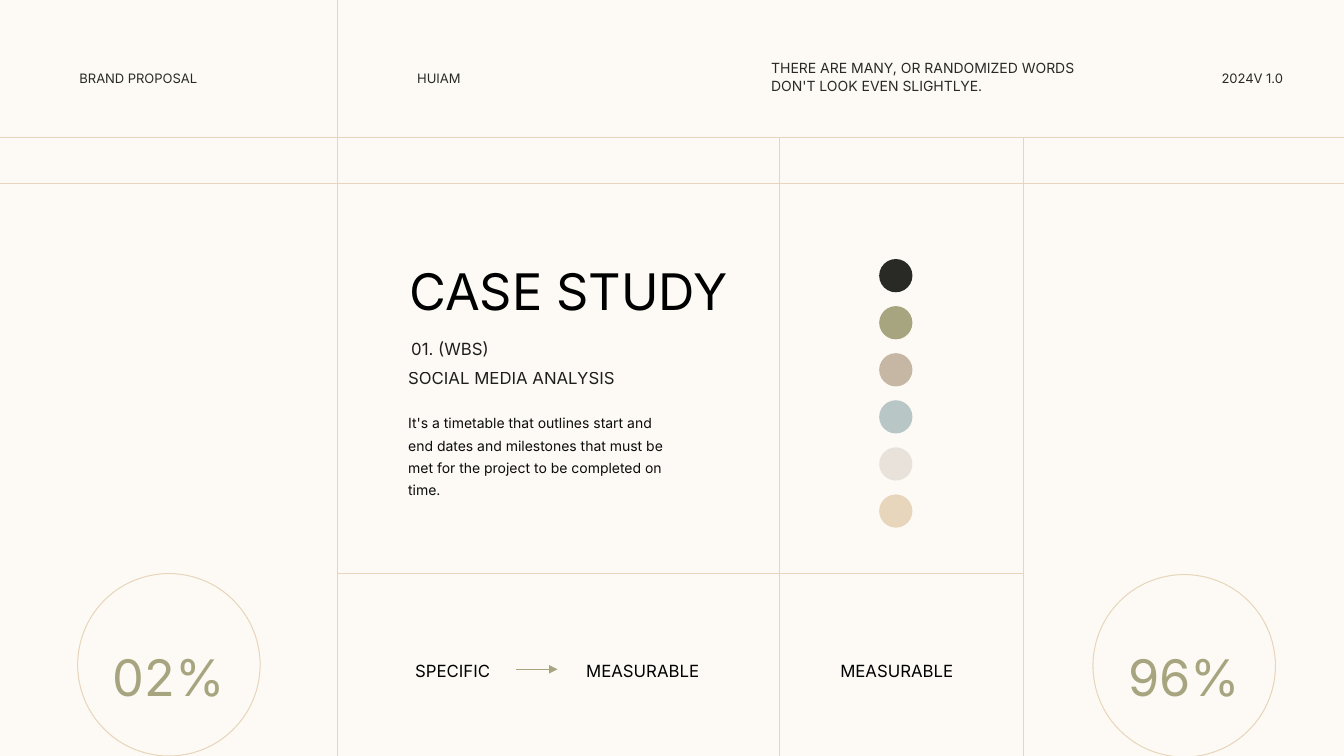
from lxml.etree import SubElement
from pptx import Presentation
from pptx.dml.color import RGBColor
from pptx.enum.shapes import MSO_CONNECTOR, MSO_SHAPE
from pptx.enum.text import MSO_ANCHOR, MSO_AUTO_SIZE, PP_ALIGN
from pptx.oxml.ns import qn
from pptx.util import Inches, Pt

HUES = {
    "cream": "FDFAF5", "ink": "292A25", "olive": "A7A57F", "taupe": "C6B7A4",
    "mist": "B8C6C6", "pearl": "E8E2DB", "sand": "E7D6BC",
    "black": "000000", "body": "0D0D0D",
}
FONT = "Inter"
LEFT, MID, RIGHT = PP_ALIGN.LEFT, PP_ALIGN.CENTER, PP_ALIGN.RIGHT


def hue(name):
    return RGBColor.from_string(HUES[name])


def write(box, text, size, tone, align=LEFT, lead=None, lift=False, alpha=None):
    frame = box.text_frame
    frame.word_wrap = True
    frame.auto_size = MSO_AUTO_SIZE.SHAPE_TO_FIT_TEXT
    frame.vertical_anchor = MSO_ANCHOR.TOP
    para = frame.paragraphs[0]
    para.alignment = align
    if lead:
        para.line_spacing = Pt(lead)
    run = para.add_run()
    run.text = text
    font = run.font
    font.name, font.size = FONT, Pt(size)
    font.color.rgb = hue(tone)
    props = run._r.get_or_add_rPr()
    if lift:
        props.set("baseline", "30000")
    if alpha:
        shade = props.find(".//" + qn("a:srgbClr"))
        SubElement(shade, qn("a:alpha")).set("val", str(alpha * 1000))


def label(slide, at, text, size, tone, **style):
    box = slide.shapes.add_textbox(*map(Inches, at))
    write(box, text, size, tone, **style)


def title(slide, at, text, size, tone, **style):
    box = slide.shapes.title
    box.left, box.top, box.width, box.height = map(Inches, at)
    write(box, text, size, tone, **style)


def rule(slide, x1, y1, x2, y2, tone="sand", arrow=False):
    line = slide.shapes.add_connector(
        MSO_CONNECTOR.STRAIGHT, *map(Inches, (x1, y1, x2, y2)))
    line.line.color.rgb = hue(tone)
    line.line.width = Pt(0.5)
    if arrow:
        SubElement(line.line._get_or_add_ln(), qn("a:tailEnd")).set("type", "triangle")
    SubElement(line._element.spPr, qn("a:effectLst"))


def disc(slide, x, y, size, fill=None, edge=None):
    dot = slide.shapes.add_shape(
        MSO_SHAPE.OVAL, *map(Inches, (x, y, size, size)))
    dot.shadow.inherit = False
    if fill:
        dot.fill.solid()
        dot.fill.fore_color.rgb = hue(fill)
    else:
        dot.fill.background()
    if edge:
        dot.line.color.rgb = hue(edge)
        dot.line.width = Pt(0.75)
    else:
        dot.line.fill.background()


def gauge(slide, x, y, text):
    disc(slide, x, y, 1.81, edge="sand")
    label(slide, (x + 0.23, 6.2, 1.35, 0.8), text, 36, "olive", align=MID, lead=55)


def grid(slide):
    for y in (1.36, 1.82):
        rule(slide, 0, y, 13.33, y)
    for x, top in ((3.35, 0), (7.73, 1.36), (10.15, 1.36)):
        rule(slide, x, top, x, 7.5)
    rule(slide, 3.35, 5.69, 10.15, 5.69)


def header(slide):
    for x, wide, text, align in (
        (0.69, 1.83, "BRAND PROPOSAL", LEFT),
        (4.04, 1.83, "HUIAM", LEFT),
        (11.82, 1.04, "2024V 1.0 ", RIGHT),
    ):
        label(slide, (x, 0.62, wide, 0.28), text, 16, "ink", align=align, lift=True)
    label(slide, (7.55, 0.53, 3.38, 0.45),
          "THERE ARE MANY, OR RANDOMIZED WORDS DON'T LOOK EVEN SLIGHTLYE.",
          10, "ink", lead=13)


def study(slide):
    title(slide, (3.84, 2.37, 3.6, 0.8), "CASE STUDY", 36, "black", align=MID, lead=55)
    label(slide, (3.98, 3.31, 3.12, 0.3), "01. (WBS)", 12, "black", alpha=88)
    label(slide, (3.95, 3.6, 3.27, 0.3), "SOCIAL MEDIA ANALYSIS", 12, "black", alpha=88)
    label(slide, (3.95, 4.01, 2.88, 0.98),
          "It's a timetable that outlines start and end dates and milestones "
          "that must be met for the project to be completed on time.",
          10, "body", lead=16)


def swatches(slide):
    for i, tone in enumerate(("ink", "olive", "taupe", "mist", "pearl", "sand")):
        disc(slide, 8.72, 2.57 + i * 0.467, 0.33, fill=tone)


def goals(slide):
    for x, wide, text in (
        (4, 0.98, "SPECIFIC"), (5.65, 1.45, "MEASURABLE"), (8.17, 1.45, "MEASURABLE"),
    ):
        label(slide, (x, 6.48, wide, 0.31), text, 12, "black", align=MID, lead=16)
    rule(slide, 5.12, 6.64, 5.53, 6.64, "olive", arrow=True)


def main():
    deck = Presentation()
    deck.slide_width, deck.slide_height = Inches(13.33), Inches(7.5)
    slide = deck.slides.add_slide(deck.slide_layouts[5])
    slide.background.fill.solid()
    slide.background.fill.fore_color.rgb = hue("cream")
    grid(slide)
    header(slide)
    study(slide)
    swatches(slide)
    goals(slide)
    gauge(slide, 0.77, 5.69, "02%")
    gauge(slide, 10.84, 5.7, "96%")
    deck.save("out.pptx")


if __name__ == "__main__":
    main()
